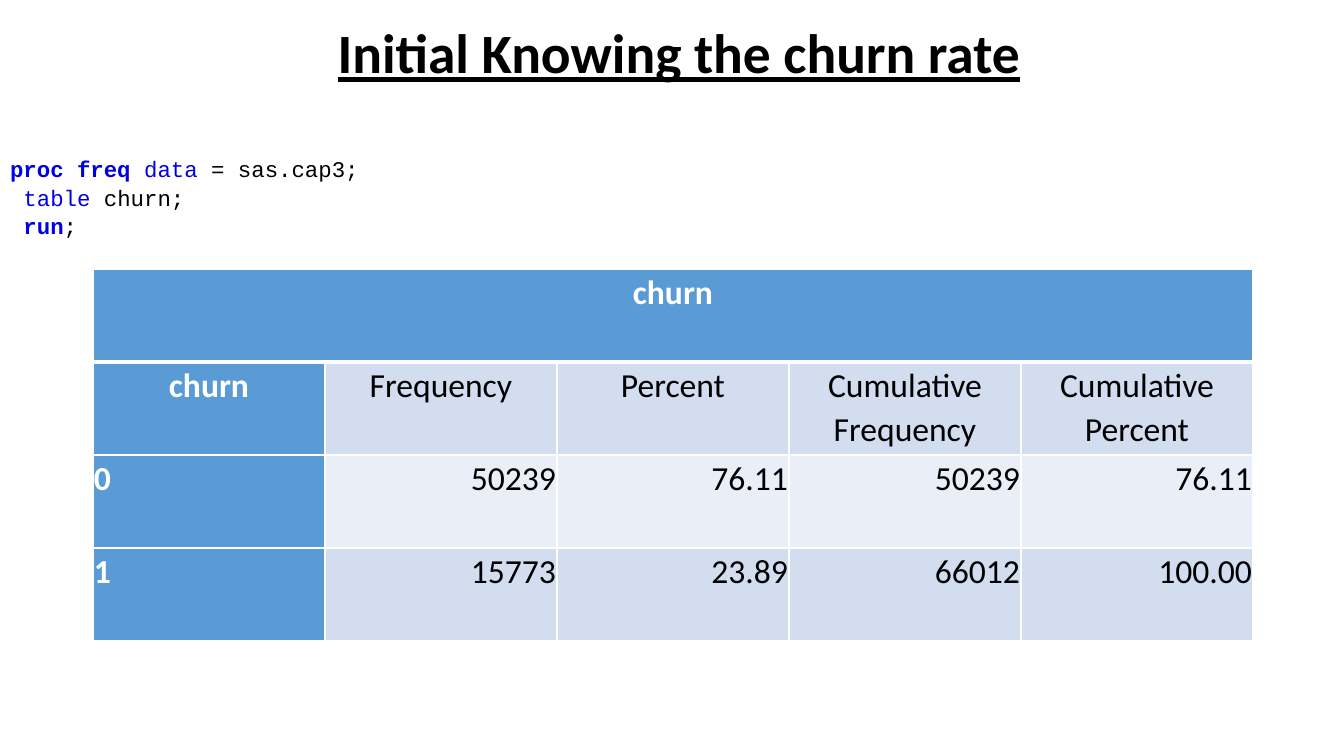
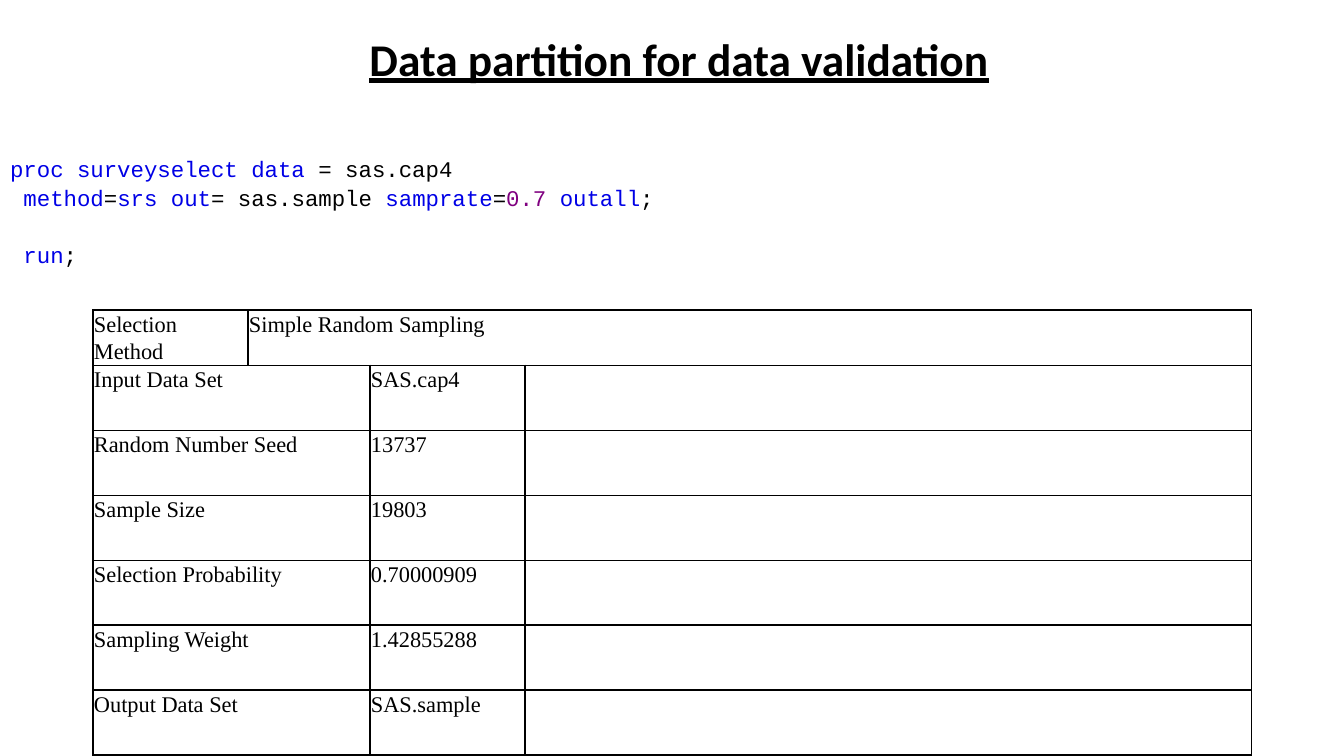
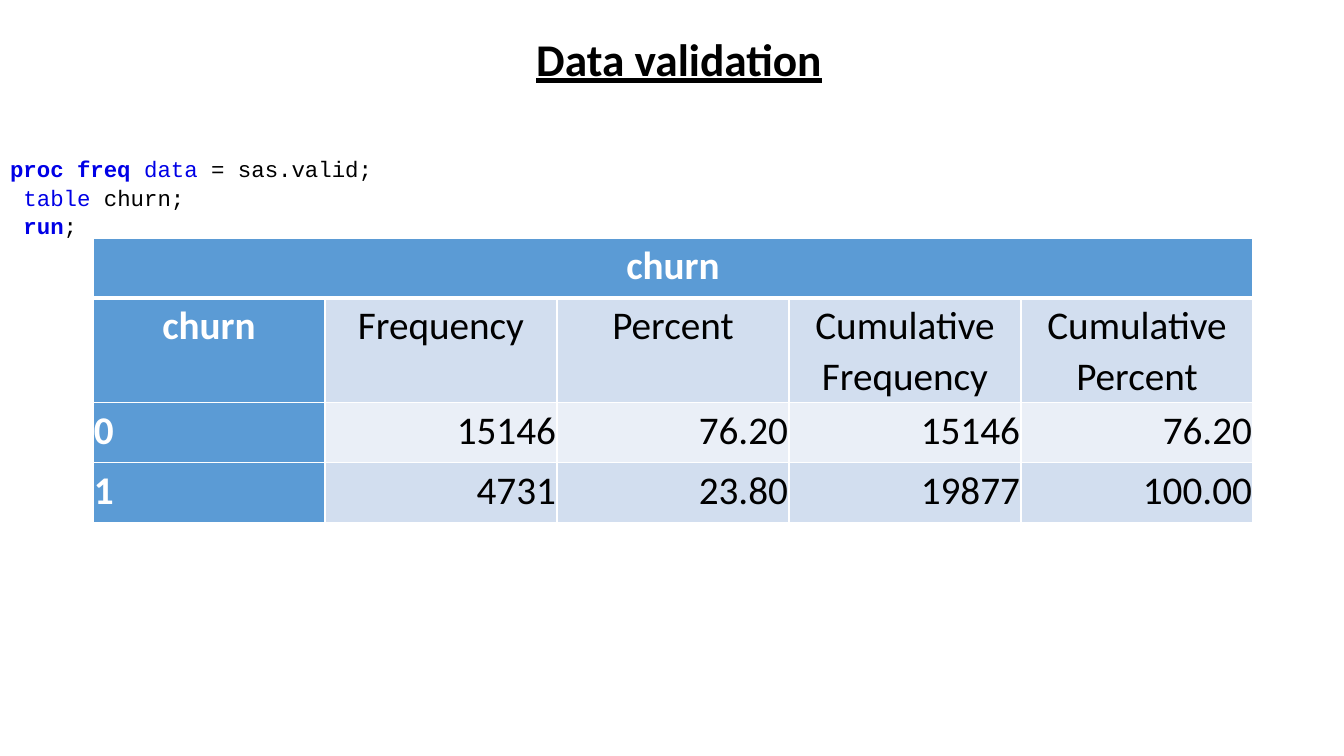
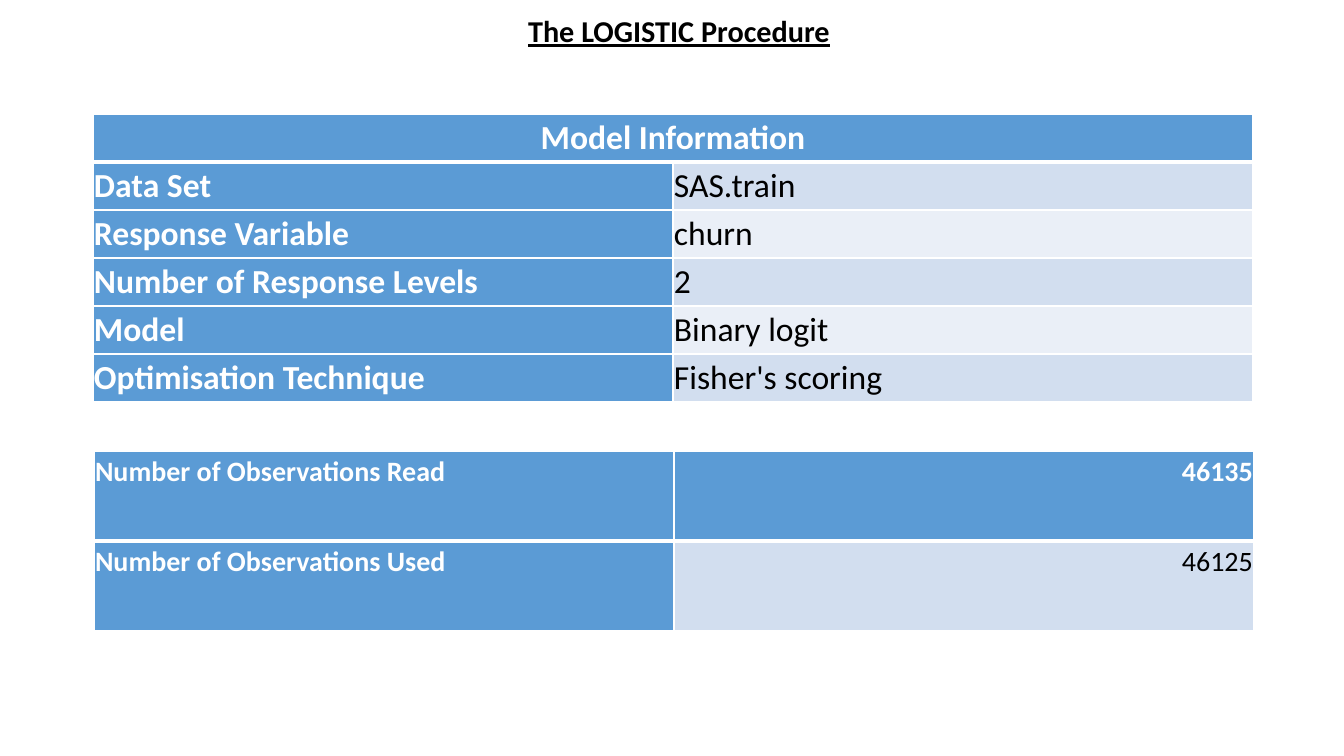
from lxml import etree
from pptx import Presentation
from pptx.dml.color import RGBColor
from pptx.enum.text import MSO_ANCHOR, MSO_AUTO_SIZE, PP_ALIGN
from pptx.oxml import parse_xml
from pptx.oxml.ns import nsdecls
from pptx.util import Emu, Pt

PX = 9071.43  # EMU in one pixel at 100.8 pixels to the inch
COLORS = {"black": "000000", "white": "FFFFFF", "head": "5B9BD5",
          "band1": "D2DEEF", "band2": "EAEFF7",
          "keyword": "0000E6", "number": "800080"}
ALIGN = {"l": PP_ALIGN.LEFT, "c": PP_ALIGN.CENTER, "r": PP_ALIGN.RIGHT}
LINE_SPACING = 1.07


def add_run(p, text, font, size, color, bold=False):
    r = p.add_run()
    r.text = text
    r.font.name, r.font.size, r.font.bold = font, Pt(size), bold
    r.font.color.rgb = RGBColor.from_string(COLORS[color])
    return r


def add_grid(s, left, top, widths, heights, rows, aligns, size,
             font="Calibri", banded=True):
    """Table whose None cells join the cell on their left."""
    frame = s.shapes.add_table(len(rows), len(widths), Emu(int(left * PX)), Emu(int(top * PX)),
                               Emu(int(sum(widths) * PX)), Emu(int(sum(heights) * PX)))
    table = frame.table
    table.first_row = table.horz_banding = False
    for column, width in zip(table.columns, widths):
        column.width = Emu(int(width * PX))
    for row, height in zip(table.rows, heights):
        row.height = Emu(int(height * PX))
    line_color = COLORS["white" if banded else "black"]
    for i, row in enumerate(rows):
        for j, text in enumerate(row):
            cell = table.cell(i, j)
            is_head = banded and (i == 0 or j == 0)
            cell.margin_left = cell.margin_right = Emu(int(PX))
            cell.margin_top = cell.margin_bottom = Emu(int(PX))
            # Fill
            if banded:
                fill = "head" if is_head else "band1" if i % 2 else "band2"
                cell.fill.solid()
                cell.fill.fore_color.rgb = RGBColor.from_string(COLORS[fill])
            else:
                cell.fill.background()
            # Borders, thicker under the header row
            tcPr = cell._tc.get_or_add_tcPr()
            for k, side in enumerate("LRTB"):
                thick = banded and (i, side) in ((0, "B"), (1, "T"))
                tcPr.insert(k, parse_xml(
                    f'<a:ln{side} {nsdecls("a")} w="{Pt(3 if thick else 1)}"><a:solidFill>'
                    f'<a:srgbClr val="{line_color}"/></a:solidFill></a:ln{side}>'))
            # Text
            if text:
                p = cell.text_frame.paragraphs[0]
                p.alignment = ALIGN[aligns[i][j]]
                p.line_spacing = LINE_SPACING
                add_run(p, text, font, size, "white" if is_head else "black", is_head)
        # Joined cells
        for j in range(len(row)):
            end = j
            while end + 1 < len(row) and row[end + 1] is None:
                end += 1
            if row[j] is not None and end > j:
                table.cell(i, j).merge(table.cell(i, end))


prs = Presentation()
prs.slide_width, prs.slide_height = Emu(int(1344 * PX)), Emu(int(756 * PX))

# Code listings: lines of (text, colour, bold) runs
freq_code = {
    name: [[("proc freq ", "keyword", True), ("data", "keyword", False),
            (f" = sas.{name};", "black", False)],
           [(" ", "black", False), ("table", "keyword", False), (" churn;", "black", False)],
           [(" ", "black", False), ("run", "keyword", True), (";", "black", False)]]
    for name in ("cap3", "valid")}
sample_code = [
    [("proc surveyselect data", "keyword", False), (" = sas.cap4", "black", False)],
    [(" ", "black", False), ("method", "keyword", False), ("=", "black", False),
     ("srs out", "keyword", False), ("= sas.sample ", "black", False),
     ("samprate", "keyword", False), ("=", "black", False), ("0.7 ", "number", False),
     ("outall", "keyword", False), (";", "black", False)],
    [(" ", "black", False), ("run", "keyword", False), (";", "black", False)]]

# Titles and code: title, size, title height, code, space before the last line
pages = [
    ("Initial Knowing the churn rate", 39.6, 91, freq_code["cap3"], 0),
    ("Data partition for data validation", 32.4, 91, sample_code, 20.5),
    ("Data validation", 32.4, 91, freq_code["valid"], 0),
    ("The LOGISTIC Procedure", 21.6, 54, None, 0)]
slides = []
for title, size, height, code, gap in pages:
    s = prs.slides.add_slide(prs.slide_layouts[0])
    slides.append(s)
    sp, body = s.shapes.title, s.placeholders[1]
    sp.left, sp.top = Emu(int(14 * PX)), Emu(0)
    sp.width, sp.height = Emu(int(1330 * PX)), Emu(int(height * PX))
    tf = sp.text_frame
    tf.auto_size, tf.vertical_anchor = MSO_AUTO_SIZE.NONE, MSO_ANCHOR.BOTTOM
    p = tf.paragraphs[0]
    p.alignment, p.line_spacing = PP_ALIGN.CENTER, 0.9
    add_run(p, title, "Calibri", size, "black", True).font.underline = True

    if code is None:
        body.element.getparent().remove(body.element)
        continue
    body.left, body.top = Emu(0), Emu(int(134 * PX))
    body.width, body.height = Emu(int(1344 * PX)), Emu(int(599 * PX))
    tf = body.text_frame
    tf.auto_size, tf.vertical_anchor = MSO_AUTO_SIZE.NONE, MSO_ANCHOR.TOP
    tf.margin_top = Emu(int(19 * PX))
    for n, line in enumerate(code):
        p = tf.add_paragraph() if n else tf.paragraphs[0]
        p.alignment, p.line_spacing = PP_ALIGN.LEFT, LINE_SPACING
        p.space_before = Pt(gap if n == len(code) - 1 else 0)
        for text, color, bold in line:
            add_run(p, text, "Courier New", 16, color, bold)

# Churn frequency tables
churn_head = [["churn", None, None, None, None],
              ["churn", "Frequency", "Percent", "Cumulative Frequency", "Cumulative Percent"]]
churn_aligns = ["ccccc", "ccccc", "lrrrr", "lrrrr"]
churn_widths = [232] * 5
add_grid(slides[0], 93, 269, churn_widths, [93] * 4, churn_head + [
    ["0", "50239", "76.11", "50239", "76.11"],
    ["1", "15773", "23.89", "66012", "100.00"]], churn_aligns, 24)
add_grid(slides[2], 93, 238, churn_widths, [60, 104, 60, 60], churn_head + [
    ["0", "15146", "76.20", "15146", "76.20"],
    ["1", "4731", "23.80", "19877", "100.00"]], churn_aligns, 28)

# Sampling summary
sampling = [("Input Data Set", "SAS.cap4"), ("Random Number Seed", "13737"),
            ("Sample Size", "19803"), ("Selection Probability", "0.70000909"),
            ("Sampling Weight", "1.42855288"), ("Output Data Set", "SAS.sample")]
add_grid(slides[1], 93, 310, [155, 122, 155, 727], [55] + [65] * 6,
         [["Selection Method", "Simple Random Sampling", None, None]]
         + [[label, None, value, ""] for label, value in sampling],
         ["llll"] * 7, 16, "Times New Roman", banded=False)

# Model information and observation counts
add_grid(slides[3], 93, 114, [580] * 2, [48] * 6, [
    ["Model Information", None],
    ["Data Set", "SAS.train"],
    ["Response Variable", "churn"],
    ["Number of Response Levels", "2"],
    ["Model", "Binary logit"],
    ["Optimisation Technique", "Fisher's scoring"]], ["cc"] + ["ll"] * 5, 24)
add_grid(slides[3], 94, 451, [580] * 2, [90] * 2, [
    ["Number of Observations Read", "46135"],
    ["Number of Observations Used", "46125"]], ["lr"] * 2, 20)

prs.save("out.pptx")
